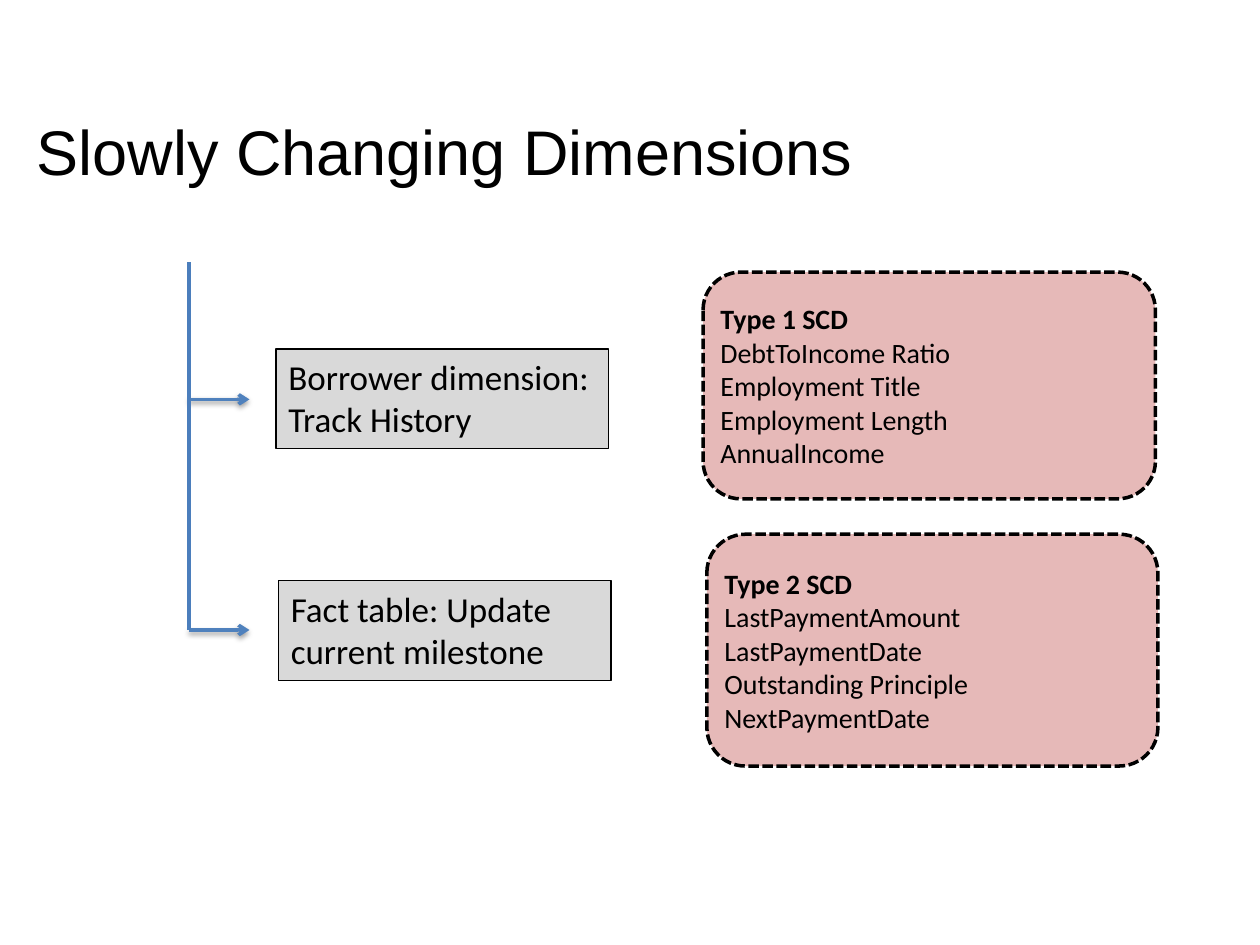
"""Build the slide on slowly changing dimensions."""
from lxml.etree import SubElement
from pptx import Presentation
from pptx.dml.color import RGBColor
from pptx.enum.dml import MSO_LINE
from pptx.enum.shapes import MSO_CONNECTOR, MSO_SHAPE
from pptx.enum.text import MSO_ANCHOR, MSO_AUTO_SIZE, PP_ALIGN
from pptx.oxml.ns import qn
from pptx.util import Inches, Pt

COLORS = {"ink": "000000", "box": "D9D9D9", "card": "E6B9B8",
          "arrow": "4F81BD", "trunk": "4B7EBC"}
COLS, ROWS = 100, 75


def color(name):
    """Return a named colour."""
    return RGBColor.from_string(COLORS[name])


def write(frame, lines, font="Calibri", size=16, align=PP_ALIGN.LEFT,
          anchor=MSO_ANCHOR.MIDDLE, inset=None, head=False, grow=False):
    """Fill a text frame with one paragraph per line."""
    frame.word_wrap = True
    frame.auto_size = MSO_AUTO_SIZE.SHAPE_TO_FIT_TEXT if grow else MSO_AUTO_SIZE.NONE
    frame.vertical_anchor = anchor
    if inset is not None:
        frame.margin_left = frame.margin_right = Inches(inset)
        frame.margin_top = frame.margin_bottom = Inches(inset)
    for row, line in enumerate(lines):
        para = frame.add_paragraph() if row else frame.paragraphs[0]
        para.alignment = align
        run = para.add_run()
        run.text = line
        run.font.name, run.font.size = font, Pt(size)
        run.font.bold = head and row == 0
        run.font.color.rgb = color("ink")


class Deck:
    """Hold the style and the current slide."""

    def __init__(self):
        """Open a deck with one title-only slide."""
        self.show = Presentation()
        self.show.slide_width, self.show.slide_height = Inches(10), Inches(7.5)
        self.slide = self.show.slides.add_slide(self.show.slide_layouts[5])

    def grid(self, *cells):
        """Turn column and row pairs into lengths."""
        sides = (self.show.slide_width / COLS, self.show.slide_height / ROWS)
        return [round(cell * sides[i % 2]) for i, cell in enumerate(cells)]

    def title(self, text, *cells):
        """Move and fill the title."""
        shape = self.slide.shapes.title
        shape.left, shape.top, shape.width, shape.height = self.grid(*cells)
        write(shape.text_frame, [text], font="Arial", size=36, align=PP_ALIGN.CENTER)

    def shape(self, kind, fill, width, cells):
        """Add an outlined shape."""
        shape = self.slide.shapes.add_shape(kind, *self.grid(*cells))
        shape.shadow.inherit = False
        shape.fill.solid()
        shape.fill.fore_color.rgb = color(fill)
        shape.line.color.rgb = color("ink")
        shape.line.width = Pt(width)
        return shape

    def box(self, text, *cells):
        """Add a grey label."""
        shape = self.shape(MSO_SHAPE.RECTANGLE, "box", 0.75, cells)
        write(shape.text_frame, [text], size=20, anchor=MSO_ANCHOR.TOP, grow=True)

    def card(self, lines, *cells):
        """Add a dashed card with a bold first line."""
        shape = self.shape(MSO_SHAPE.ROUNDED_RECTANGLE, "card", 2, cells)
        shape.line.dash_style = MSO_LINE.SQUARE_DOT
        write(shape.text_frame, lines, inset=0.05, head=True)

    def line(self, *cells, ink="trunk", width=2.25, arrow=False):
        """Add a line, or an arrow with a soft shadow."""
        link = self.slide.shapes.add_connector(MSO_CONNECTOR.STRAIGHT, *self.grid(*cells))
        link.line.color.rgb = color(ink)
        link.line.width = Pt(width)
        props = link._element.spPr
        effects = SubElement(props, qn("a:effectLst"))
        if arrow:
            SubElement(props.find(qn("a:ln")), qn("a:tailEnd"), type="arrow")
            shade = SubElement(effects, qn("a:outerShdw"), blurRad=str(Pt(3.1)),
                               dist=str(Pt(1.6)), dir="5400000", rotWithShape="0")
            tint = SubElement(shade, qn("a:srgbClr"), val=COLORS["ink"])
            SubElement(tint, qn("a:alpha"), val="38000")


deck = Deck()
deck.title("Slowly Changing Dimensions", -2.2, 6.1, 75, 11.7)
deck.box("Borrower dimension: Track History", 21.9, 27.7, 26.4, 7.9)
deck.box("Fact table: Update current milestone", 22.1, 46.1, 26.4, 7.9)
deck.card(["Type 1 SCD", "DebtToIncome Ratio", "Employment Title",
           "Employment Length", "AnnualIncome"], 55.8, 21.6, 35.9, 18)
deck.card(["Type 2 SCD", "LastPaymentAmount", "LastPaymentDate",
           "Outstanding Principle", "NextPaymentDate"], 56.1, 42.4, 35.8, 18.4)
for row in (31.7, 50):
    deck.line(15, row, 19.8, row, ink="arrow", width=2, arrow=True)
deck.line(15, 20.8, 15, 50)
deck.show.save("out.pptx")
